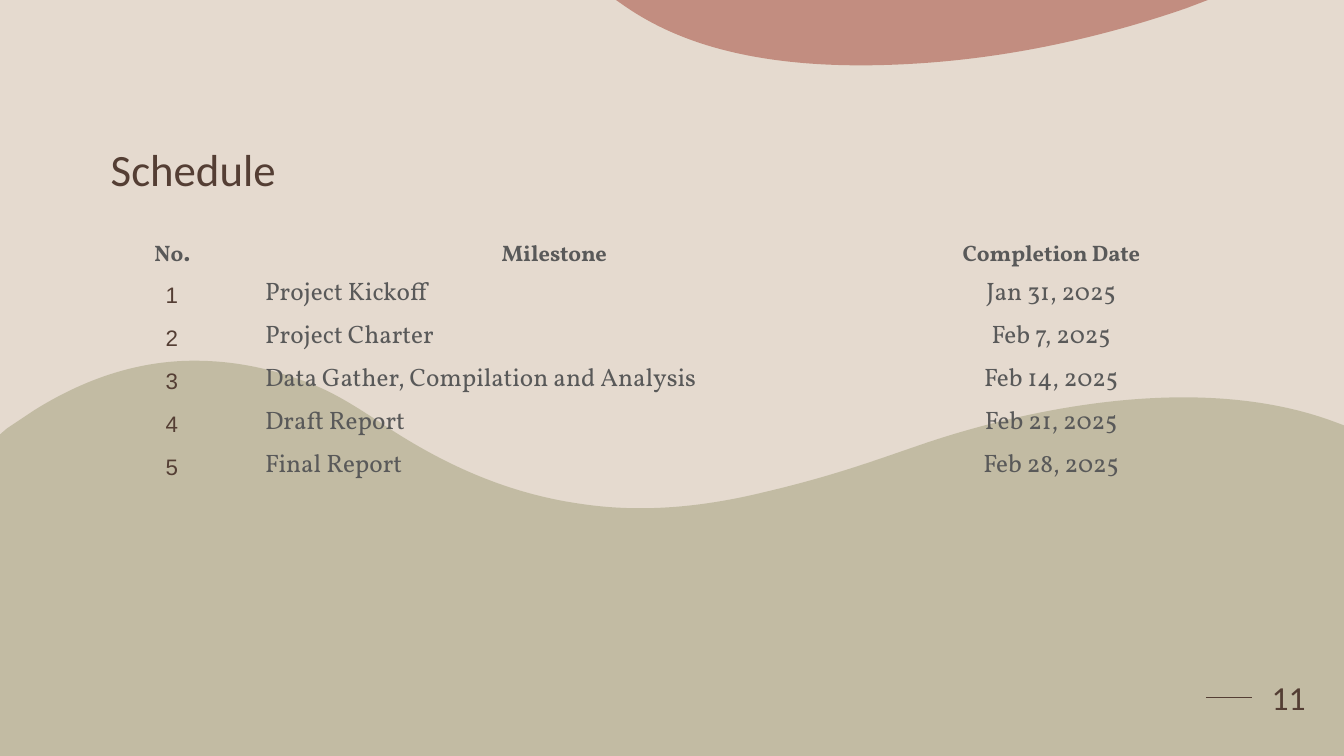
from pptx import Presentation
from pptx import util as u
from pptx.dml.color import RGBColor
from pptx.enum import shapes, text
from pptx.oxml.ns import qn
from lxml import etree

UNIT = u.Inches(0.01)
COLUMNS, ROWS = 1333, 750
COLORS = {
    "sand": "E5DACF",
    "olive": "A09D79",
    "clay": "AC5B4C",
    "brown": "543E34",
    "gray": "595959",
}
NO_GRID_STYLE = "{2D5ABB26-0587-4C30-8999-92F81FD0307C}"
WAVE = [
    [(202, 0)],
    [(236, 1), (270, 8), (304, 21)],
    [(334, 32), (360, 50), (386, 67)],
    [(443, 104), (505, 132), (577, 142)],
    [(637, 151), (698, 145), (759, 130)],
    [(827, 114), (867, 99), (908, 85)],
    [(948, 71), (1161, -1), (1325, 61)],
    [(1333, 64)], [(1333, 392)], [(0, 392)], [(0, 73)], [(7, 67)],
    [(16, 61), (25, 55), (34, 49)],
    [(90, 14), (146, -2), (202, 0)],
]
HILL = [
    [(0, 0)], [(587, 0)], [(566, 8)],
    [(445, 50), (350, 59), (313, 62)],
    [(145, 75), (60, 41), (10, 7)],
]
COLUMN_WIDTHS = [147, 610, 376]
HEADERS = [[("No", 16), (". ", 18)], [("Milestone ", 16)], [("Completion Date ", 16)]]
MILESTONES = [
    ("1 ", "Project Kickoff ", "Jan 31, 2025 "),
    ("2 ", "Project Charter ", "Feb 7, 2025 "),
    ("3 ", "Data Gather, Compilation and Analysis ", "Feb 14, 2025 "),
    ("4 ", "Draft Report ", "Feb 21, 2025 "),
    ("5 ", "Final Report  ", "Feb 28, 2025 "),
]


def color(name):
    return RGBColor.from_string(COLORS[name])


def grid(*cells):
    return [u.Emu(round(cell * UNIT)) for cell in cells]


def add_run(paragraph, words, size, font, color_name, bold=False):
    run = paragraph.add_run()
    run.text = words
    run.font.size = u.Pt(size)
    run.font.name = font
    run.font.bold = bold
    run.font.color.rgb = color(color_name)


def bend(line, segment):
    curve = etree.Element(qn("a:cubicBezTo"))
    for point in segment:
        x, y = grid(*point)
        etree.SubElement(curve, qn("a:pt"), x=str(int(x)), y=str(int(y)))
    line.getparent().replace(line, curve)


def add_background_shape(slide, box, segments, color_name, opacity):
    left, top, width, height = box
    anchors = [grid(*segment[-1]) for segment in segments]
    builder = slide.shapes.build_freeform(*anchors[0])
    builder.add_line_segments(anchors[1:], close=True)
    shape = builder.convert_to_shape(*grid(left, top))
    outline = next(shape._element.iter(qn("a:pathLst")))[0]
    for line, segment in zip(outline.findall(qn("a:lnTo")), segments[1:]):
        if len(segment) == 3:
            bend(line, segment)
    shape.width, shape.height = grid(width, height)
    outline.set("w", str(int(shape.width)))
    outline.set("h", str(int(shape.height)))
    shape.shadow.inherit = False
    shape.line.fill.background()
    shape.fill.solid()
    shape.fill.fore_color.rgb = color(color_name)
    fill_color = shape.fill._xPr.find(qn("a:solidFill"))[0]
    etree.SubElement(fill_color, qn("a:alpha")).set("val", str(opacity * 1000))


def add_label(slide, box, words, size, anchor):
    shape = slide.shapes.add_textbox(*grid(*box))
    frame = shape.text_frame
    frame.word_wrap = True
    frame.vertical_anchor = anchor
    add_run(frame.paragraphs[0], words, size, "Calibri", "brown")
    return shape, frame.paragraphs[0]


def add_title(slide, box):
    paragraph = add_label(slide, box, "Schedule", 32, text.MSO_ANCHOR.BOTTOM)[1]
    paragraph.line_spacing = 0.9


def add_page_number(slide, box, rule_length):
    left, top, width, height = box
    label, paragraph = add_label(slide, box, "11", 24, text.MSO_ANCHOR.MIDDLE)
    paragraph.alignment = text.PP_ALIGN.CENTER
    paragraph.space_after = u.Pt(6)
    middle = top + height / 2
    rule = slide.shapes.add_connector(
        shapes.MSO_CONNECTOR.STRAIGHT, *grid(left - rule_length, middle, left, middle))
    rule.end_connect(label, 1)
    rule.line.color.rgb = color("brown")
    rule.line.width = u.Pt(1.25)
    etree.SubElement(rule._element.spPr, qn("a:effectLst"))


def fill_cell(cell, runs, spacing, font="Vollkorn", color_name="gray", bold=False, centered=True):
    cell.fill.background()
    cell.margin_left = cell.margin_right = u.Inches(0.16)
    cell.margin_top = cell.margin_bottom = u.Inches(0.08)
    cell.vertical_anchor = text.MSO_ANCHOR.MIDDLE if bold else text.MSO_ANCHOR.TOP
    paragraph = cell.text_frame.paragraphs[0]
    paragraph.alignment = text.PP_ALIGN.CENTER if centered else text.PP_ALIGN.LEFT
    paragraph.line_spacing = u.Pt(spacing)
    paragraph.space_before = paragraph.space_after = u.Pt(3)
    for words, size in runs:
        add_run(paragraph, words, size, font, color_name, bold)


def add_schedule(slide, box):
    row_count = len(MILESTONES) + 1
    table = slide.shapes.add_table(row_count, len(HEADERS), *grid(*box)).table
    table.first_row = table.horz_banding = False
    table._tbl.tblPr.find(qn("a:tableStyleId")).text = NO_GRID_STYLE
    for column, width in zip(table.columns, COLUMN_WIDTHS):
        column.width = grid(width)[0]
    for row in table.rows:
        row.height = grid(box[3] / row_count)[0]
    for index, runs in enumerate(HEADERS):
        fill_cell(table.cell(0, index), runs, 12.8 if index else 13.5, bold=True)
    for row, (number, milestone, date) in enumerate(MILESTONES, 1):
        fill_cell(table.cell(row, 0), [(number, 16)], 11.2, "Arial", "brown")
        fill_cell(table.cell(row, 1), [(milestone, 18)], 13.5, centered=False)
        fill_cell(table.cell(row, 2), [(date, 18)], 13.5)


def main():
    presentation = Presentation()
    presentation.slide_width, presentation.slide_height = grid(COLUMNS, ROWS)
    slide = presentation.slides.add_slide(presentation.slide_layouts[6])
    slide.background.fill.solid()
    slide.background.fill.fore_color.rgb = color("sand")
    add_background_shape(slide, (0, 358, 1333, 392), WAVE, "olive", 50)
    add_background_shape(slide, (611, 0, 587, 65), HILL, "clay", 60)
    add_title(slide, (100, 100, 1133, 100))
    add_page_number(slide, (1242, 643, 72, 98), 46)
    add_schedule(slide, (100, 239.4, 1133, 256))
    presentation.save("out.pptx")


if __name__ == "__main__":
    main()
